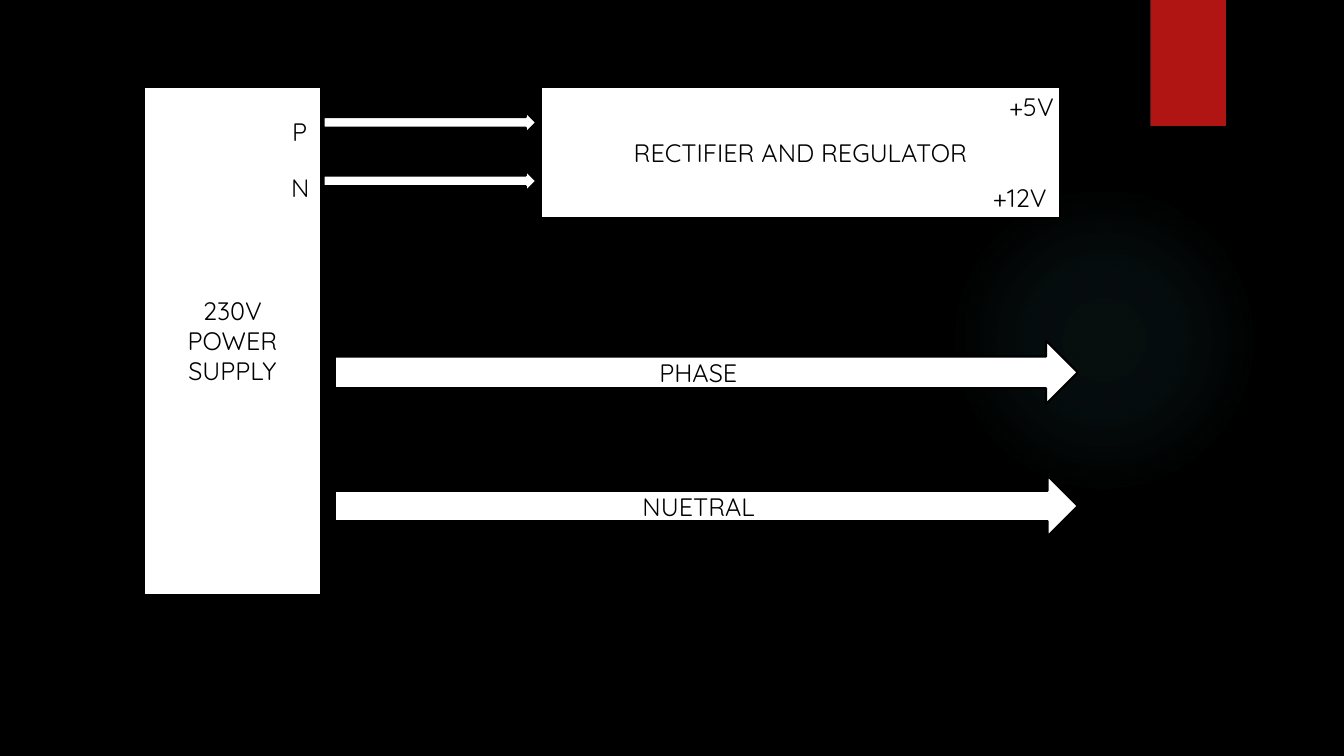
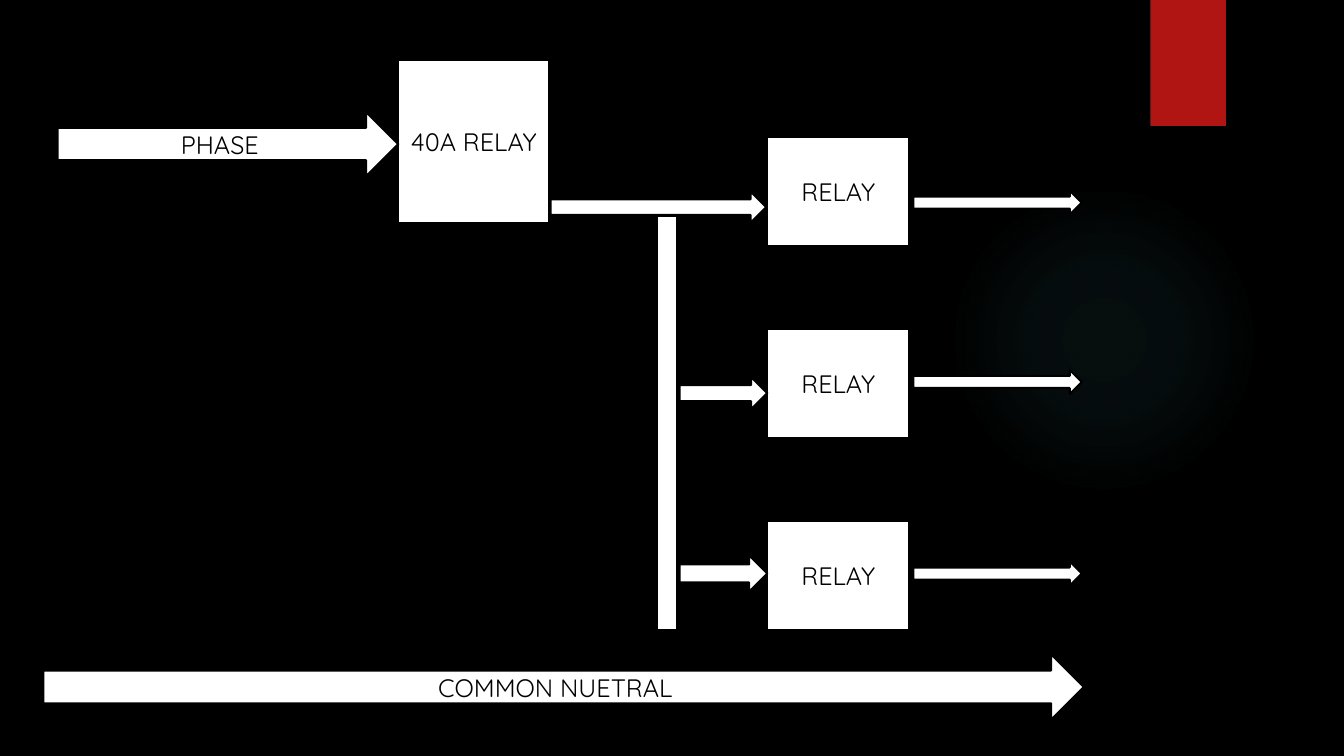
from lxml.etree import SubElement
from pptx import Presentation
from pptx.dml.color import RGBColor
from pptx.enum.shapes import MSO_SHAPE
from pptx.enum.text import MSO_ANCHOR, PP_ALIGN
from pptx.oxml.ns import qn
from pptx.util import Inches, Pt

COLORS = {"black": "000000", "white": "FFFFFF", "band": "B01513", "glow": "50B9C1"}
GLOW_STOPS = [(0, 7), (36, 6), (69, 0)]  # position and opacity in percent


def color(name):
    return RGBColor.from_string(COLORS[name])


class DiagramDeck:
    """Holds the shared style and the slide being drawn."""

    font_name = "Quicksand"
    font_size = Pt(18)
    line_width = Pt(1.5)

    def __init__(self):
        self.presentation = Presentation()
        self.presentation.slide_width = Inches(13.33)
        self.presentation.slide_height = Inches(7.5)
        self.layout = self.presentation.slide_layouts[6]
        self.slide = None
        background = self.presentation.slide_master.background.fill
        background.solid()
        background.fore_color.rgb = color("black")

    def new_slide(self):
        self.slide = self.presentation.slides.add_slide(self.layout)

    def shape(self, preset, left, top, width, height):
        shape = self.slide.shapes.add_shape(
            preset, Inches(left), Inches(top), Inches(width), Inches(height))
        shape.shadow.inherit = False
        return shape

    def set_text(self, text_frame, text, alignment):
        text_frame.word_wrap = True
        text_frame.text = text
        for paragraph in text_frame.paragraphs:
            paragraph.alignment = alignment
            paragraph.font.name = self.font_name
            paragraph.font.size = self.font_size
            paragraph.font.color.rgb = color("black")

    def block(self, left, top, width, height, text="", preset=MSO_SHAPE.RECTANGLE):
        shape = self.shape(preset, left, top, width, height)
        shape.fill.solid()
        shape.fill.fore_color.rgb = color("white")
        shape.line.color.rgb = color("black")
        shape.line.width = self.line_width
        if text:
            shape.text_frame.vertical_anchor = MSO_ANCHOR.MIDDLE
            self.set_text(shape.text_frame, text, PP_ALIGN.CENTER)

    def arrow(self, left, top, width, height, text=""):
        self.block(left, top, width, height, text, MSO_SHAPE.RIGHT_ARROW)

    def label(self, left, top, width, text):
        box = self.slide.shapes.add_textbox(
            Inches(left), Inches(top), Inches(width), Inches(0.4))
        self.set_text(box.text_frame, text, PP_ALIGN.LEFT)

    def decorate_layout(self):
        """Draw the glow and the band, then move them to the shared layout."""
        glow = self.shape(MSO_SHAPE.OVAL, 9.41, 1.83, 3.08, 3.08)
        glow.line.fill.background()
        glow.fill.background()
        properties = glow.element.spPr
        gradient = SubElement(properties, qn("a:gradFill"))
        properties.replace(properties.find(qn("a:noFill")), gradient)
        stops = SubElement(gradient, qn("a:gsLst"))
        for position, opacity in GLOW_STOPS:
            stop = SubElement(stops, qn("a:gs"), pos=str(position * 1000))
            stop_color = SubElement(stop, qn("a:srgbClr"), val=COLORS["glow"])
            SubElement(stop_color, qn("a:alpha"), val=str(opacity * 1000))
        circle = SubElement(gradient, qn("a:path"), {"path": "circle"})
        SubElement(circle, qn("a:fillToRect"), l="50000", t="50000", r="50000", b="50000")

        band = self.shape(MSO_SHAPE.RECTANGLE, 11.41, 0, 0.75, 1.25)
        band.fill.solid()
        band.fill.fore_color.rgb = color("band")
        band.line.fill.background()

        for number, shape in enumerate((glow, band), start=101):
            shape.element.nvSpPr.cNvPr.set("id", str(number))
            self.layout.shapes.element.append(shape.element)


def draw_power_supply(deck):
    # Supply and regulator
    deck.block(1.43, 0.86, 1.75, 5.04, "230V\nPOWER SUPPLY")
    for top in (1.11, 1.69):
        deck.arrow(3.21, top, 2.11, 0.21)
    deck.block(5.37, 0.86, 5.14, 1.3, "RECTIFIER AND REGULATOR")

    # Terminals
    deck.label(2.8, 1.11, 0.5, "P")
    deck.label(2.79, 1.66, 0.53, "N")
    deck.label(9.91, 0.86, 0.78, "+5V")
    deck.label(9.75, 1.76, 0.82, "+12V")

    # Mains lines
    deck.arrow(3.32, 3.38, 7.37, 0.63, "PHASE")
    deck.arrow(3.32, 4.72, 7.37, 0.6, "NUETRAL")


def draw_relays(deck):
    # Main relay and the relays it feeds
    deck.block(3.95, 0.59, 1.5, 1.62, "40A RELAY")
    for row in range(3):
        deck.block(7.61, 1.36 + row * 1.905, 1.41, 1.08, "RELAY")

    # Feed, vertical bus and its branches
    deck.arrow(5.46, 1.9, 2.14, 0.31)
    deck.block(6.52, 2.14, 0.2, 4.11)
    for top, height in ((3.74, 0.32), (5.51, 0.36)):
        deck.arrow(6.74, top, 0.87, height)

    # Relay outputs
    for top in (1.89, 3.67, 5.57):
        deck.arrow(9.06, top, 1.67, 0.24)

    # Mains lines
    deck.arrow(0.57, 1.11, 3.38, 0.64, "PHASE")
    deck.arrow(0.43, 6.49, 10.32, 0.65, "COMMON NUETRAL")


def main():
    deck = DiagramDeck()
    deck.new_slide()
    deck.decorate_layout()
    draw_power_supply(deck)
    deck.new_slide()
    draw_relays(deck)
    deck.presentation.save("out.pptx")


if __name__ == "__main__":
    main()
